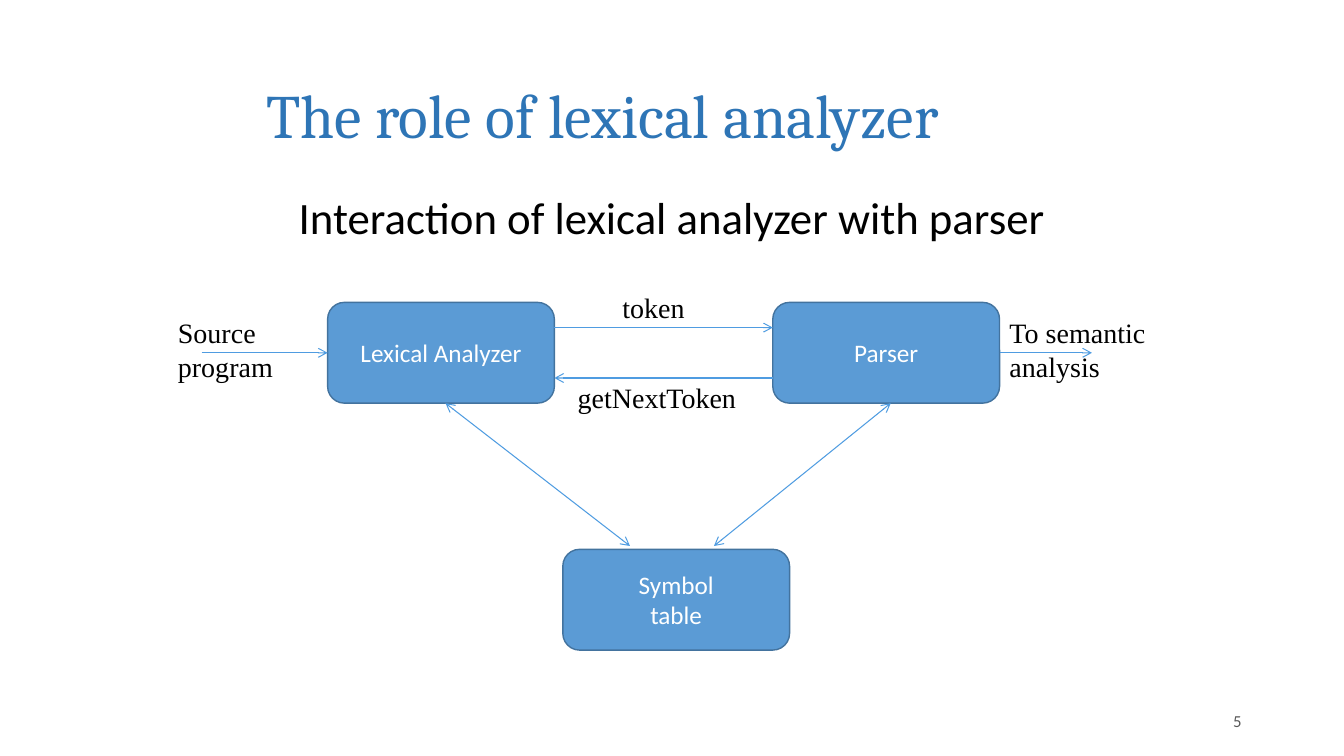
import pptx
import pptx.dml.color
import pptx.enum.shapes
import pptx.enum.text
import pptx.oxml
import pptx.util
from dataclasses import dataclass

Pt = pptx.util.Pt
Align = pptx.enum.text.PP_ALIGN
Anchor = pptx.enum.text.MSO_ANCHOR


@dataclass(frozen=True)
class Theme:
    title: tuple = ("Cambria", 44, "2E75B6")
    subtitle: tuple = ("Calibri", 32, "000000")
    label: tuple = ("Times New Roman", 20, "000000")
    box: tuple = ("Calibri", 18, "FFFFFF")
    number: tuple = ("Calibri", 12, "595959")
    box_fill: str = "5B9BD5"
    box_line: str = "43739E"
    arrow: str = "4F9CE1"


THEME = Theme()

# Content: lengths in points
BOX_WIDTH, BOX_HEIGHT = 162, 72
BOXES = {  # name: (left, top, lines)
    "lexer": (234, 216, ["Lexical Analyzer"]),
    "parser": (552, 216, ["Parser"]),
    "symbols": (402, 392.4, ["Symbol", "table"]),
}
LABELS = [  # left, top, width, height, lines
    (120, 222, 83, 55.5, ["Source", "program"]),
    (437.5, 204, 59, 31.5, ["token"]),
    (405.5, 268.5, 129, 31.5, ["getNextToken"]),
    (714, 222, 112.5, 55.5, ["To semantic", "analysis"]),
]
FRAMES = [  # left, top, width, height, text, style, alignment, anchor
    (183, 29, 711, 104.5, "The role of lexical analyzer", THEME.title, Align.LEFT, Anchor.MIDDLE),
    (174, 132, 612, 66, "Interaction of lexical analyzer with parser",
     THEME.subtitle, Align.CENTER, Anchor.TOP),
    (636, 500.5, 258, 28.5, "5", THEME.number, Align.RIGHT, Anchor.MIDDLE),
]


def color(value):
    return pptx.dml.color.RGBColor.from_string(value)


def write(shape, lines, style, alignment=Align.LEFT, anchor=Anchor.TOP, wrap=True):
    frame = shape.text_frame
    frame.word_wrap = wrap
    frame.vertical_anchor = anchor
    frame.text = "\n".join(lines)
    name, size, ink = style
    for paragraph in frame.paragraphs:
        paragraph.alignment = alignment
        paragraph.font.name = name
        paragraph.font.size = Pt(size)
        paragraph.font.color.rgb = color(ink)


def add_text(slide, left, top, width, height, *text, **options):
    shape = slide.shapes.add_textbox(Pt(left), Pt(top), Pt(width), Pt(height))
    write(shape, *text, **options)


def add_box(slide, left, top, lines):
    shape = slide.shapes.add_shape(
        pptx.enum.shapes.MSO_SHAPE.ROUNDED_RECTANGLE,
        Pt(left), Pt(top), Pt(BOX_WIDTH), Pt(BOX_HEIGHT))
    shape.shadow.inherit = False
    shape.fill.solid()
    shape.fill.fore_color.rgb = color(THEME.box_fill)
    shape.line.color.rgb = color(THEME.box_line)
    shape.line.width = Pt(1)
    write(shape, lines, THEME.box, Align.CENTER, Anchor.MIDDLE)


def add_arrow(slide, start, end, both_ways=False):
    connector = slide.shapes.add_connector(
        pptx.enum.shapes.MSO_CONNECTOR.STRAIGHT, *map(Pt, start + end))
    connector.line.color.rgb = color(THEME.arrow)
    connector.line.width = Pt(0.75)
    properties = connector.line._get_or_add_ln()
    for tag in ["a:headEnd", "a:tailEnd"] if both_ways else ["a:tailEnd"]:
        properties.append(pptx.oxml.parse_xml(
            f'<{tag} {pptx.oxml.ns.nsdecls("a")} type="arrow"/>'))
    connector._element.spPr.append(pptx.oxml.parse_xml(
        f'<a:effectLst {pptx.oxml.ns.nsdecls("a")}/>'))


def on_box(name, across, down):
    """Point at the given fractions of a box's width and height."""
    left, top, _ = BOXES[name]
    return left + across * BOX_WIDTH, top + down * BOX_HEIGHT


def main():
    presentation = pptx.Presentation()
    presentation.slide_width, presentation.slide_height = Pt(960), Pt(540)
    slide = presentation.slides.add_slide(presentation.slide_layouts[6])

    # Title, subtitle and page number
    for left, top, width, height, text, style, alignment, anchor in FRAMES:
        add_text(slide, left, top, width, height, [text], style, alignment, anchor)

    # Components
    for left, top, lines in BOXES.values():
        add_box(slide, left, top, lines)

    # Data flow
    add_arrow(slide, (144, 252), on_box("lexer", 0, 0.5))
    add_arrow(slide, on_box("lexer", 1, 0.25), on_box("parser", 0, 0.25))
    add_arrow(slide, on_box("parser", 0, 0.75), on_box("lexer", 1, 0.75))
    add_arrow(slide, on_box("parser", 1, 0.5), (780, 252))

    # Symbol table access
    add_arrow(slide, on_box("lexer", 0.52, 1), (450, 390), both_ways=True)
    add_arrow(slide, on_box("parser", 0.52, 1), (510, 390), both_ways=True)

    # Flow labels
    for left, top, width, height, lines in LABELS:
        add_text(slide, left, top, width, height, lines, THEME.label, wrap=False)

    presentation.save("out.pptx")


if __name__ == "__main__":
    main()
